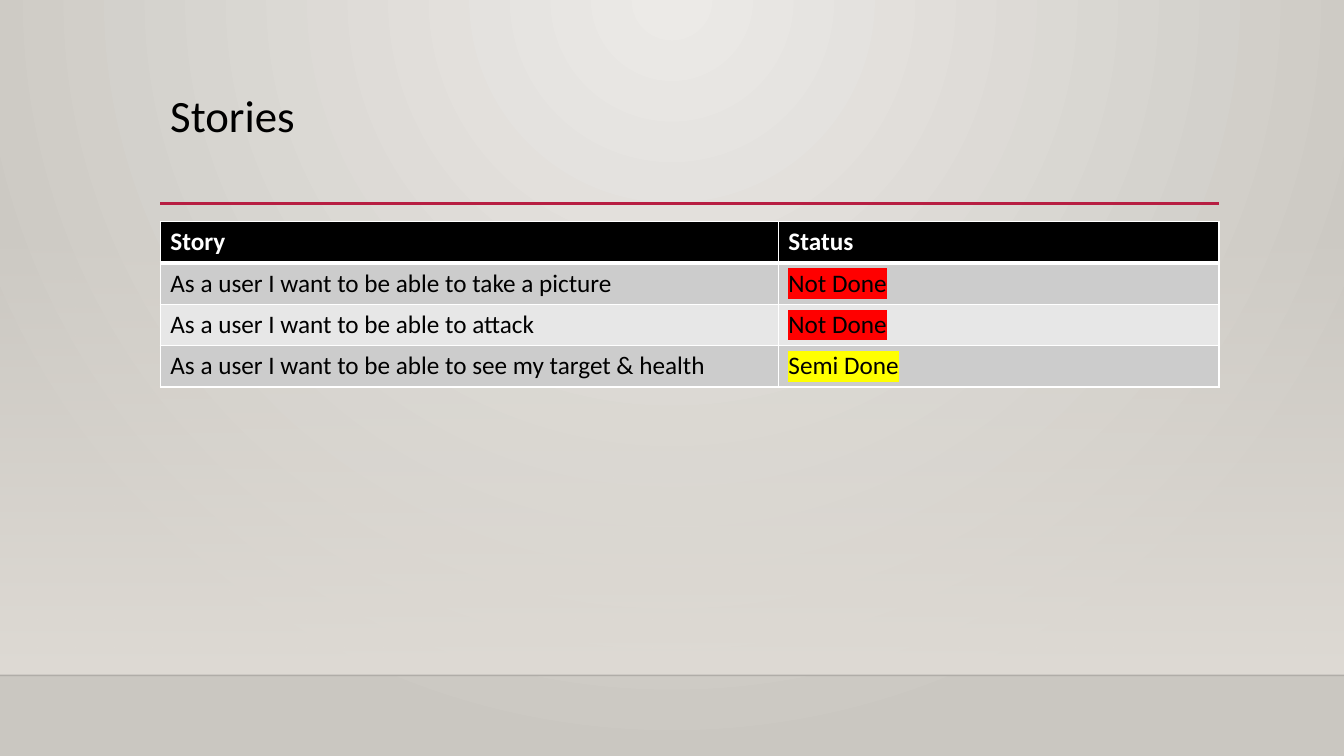
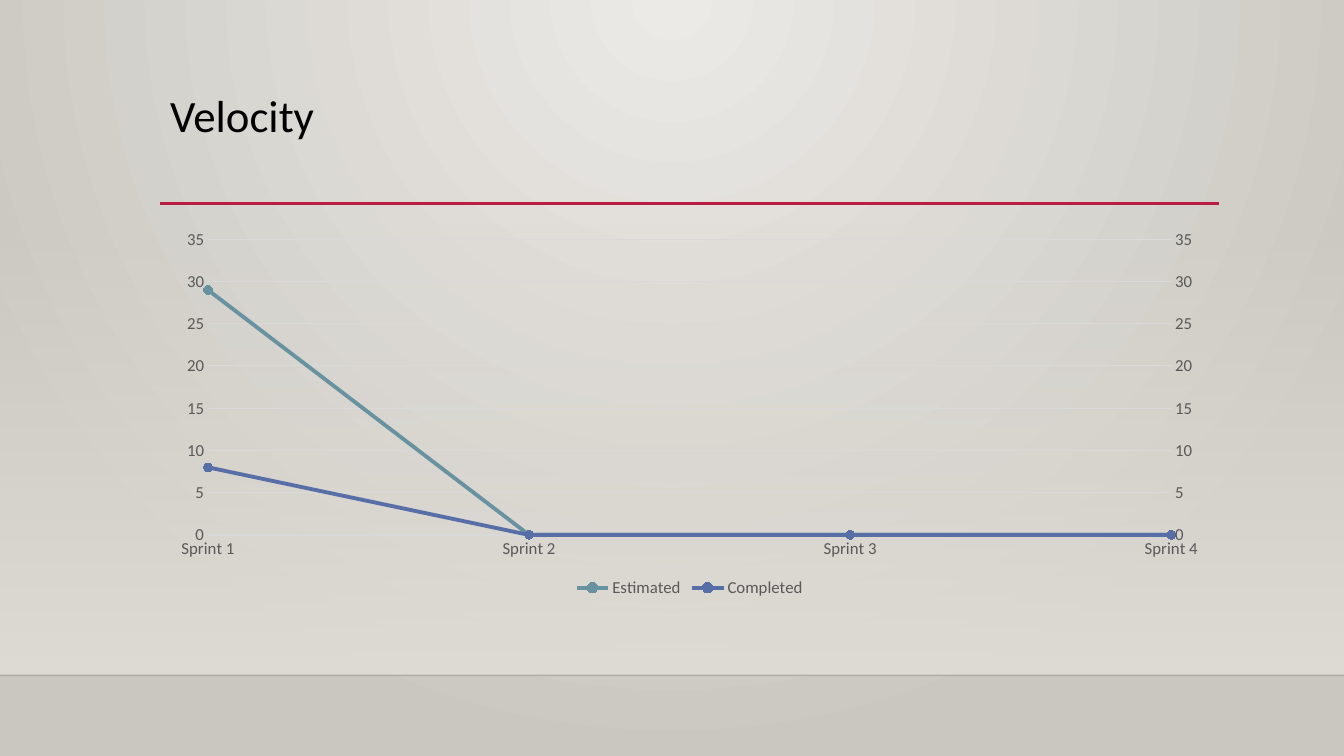
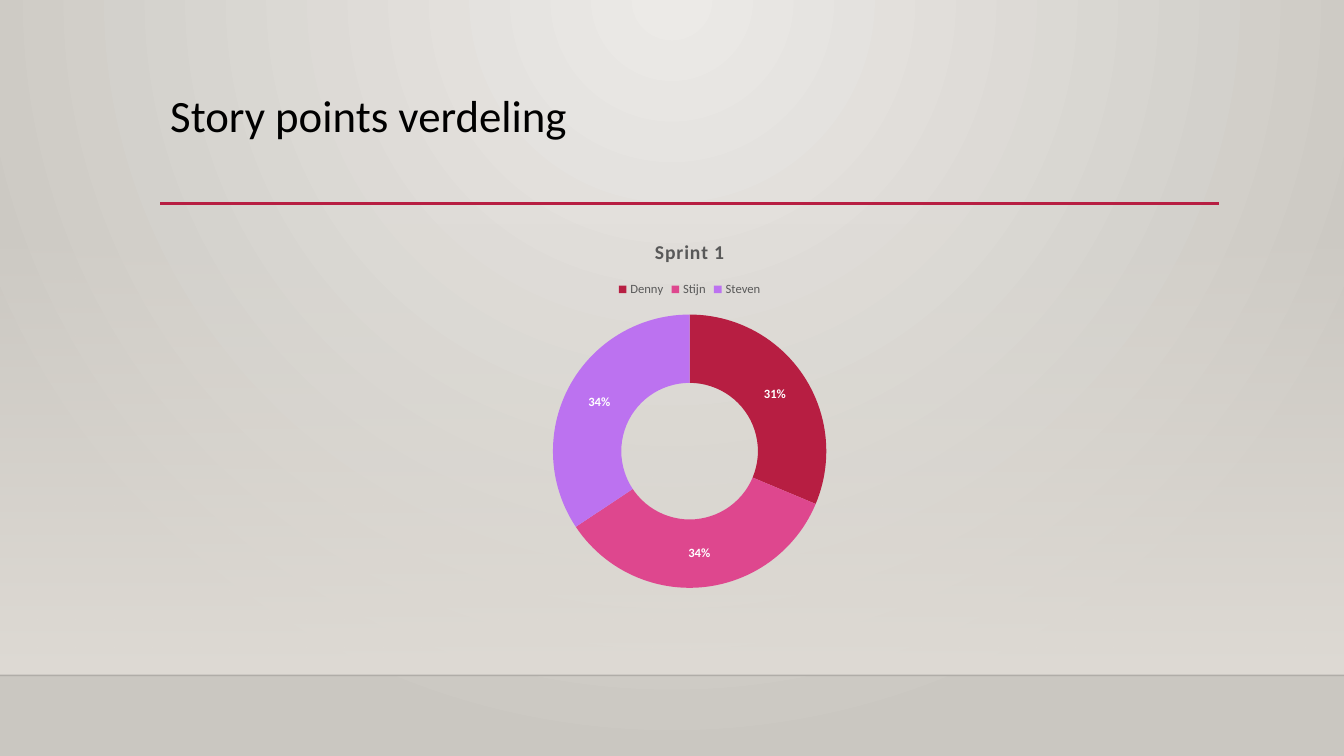
from copy import deepcopy

from lxml.etree import SubElement
from pptx import Presentation
from pptx.chart.data import CategoryChartData
from pptx.dml.color import RGBColor
from pptx.enum.chart import (XL_CHART_TYPE, XL_LEGEND_POSITION,
                             XL_MARKER_STYLE, XL_TICK_MARK)
from pptx.enum.shapes import MSO_CONNECTOR, MSO_SHAPE
from pptx.oxml.ns import qn
from pptx.util import Inches, Pt

FONT = "Calibri"
BLACK = RGBColor(0x00, 0x00, 0x00)
WHITE = RGBColor(0xFF, 0xFF, 0xFF)
GLOW = RGBColor(0xEC, 0xEA, 0xE7)
EDGE = RGBColor(0xCA, 0xC7, 0xC1)
WALL = RGBColor(0xDF, 0xDB, 0xD5)
CRIMSON = RGBColor(0xB7, 0x1E, 0x42)
PINK = RGBColor(0xDE, 0x47, 0x8E)
PURPLE = RGBColor(0xBC, 0x72, 0xF0)
TEAL = RGBColor(0x68, 0x92, 0xA0)
TEAL_DARK = RGBColor(0x53, 0x83, 0x93)
BLUE = RGBColor(0x58, 0x6E, 0xA6)
BLUE_DARK = RGBColor(0x42, 0x5B, 0x9B)
GREY_TEXT = RGBColor(0x59, 0x59, 0x59)
GREY_LINE = RGBColor(0xD9, 0xD9, 0xD9)
ROW_DARK = RGBColor(0xCC, 0xCC, 0xCC)
ROW_LIGHT = RGBColor(0xE7, 0xE7, 0xE7)
RED = RGBColor(0xFF, 0x00, 0x00)
YELLOW = RGBColor(0xFF, 0xFF, 0x00)

WIDTH, HEIGHT = 13.33, 7.5
LEFT, CONTENT_W = 1.59, 10.5
TITLE_TOP, TITLE_H = 0.88, 1.15
RULE_Y, FLOOR_Y = 2.02, 6.7
CONTENT_TOP, CHART_H = 2.2, 3.77
CONTENT_BOX = [Inches(v) for v in (LEFT, CONTENT_TOP, CONTENT_W, CHART_H)]
COLUMNS, ROW_H = (6.13, 4.37), 0.41

STORY_HEADER = ("Story", "Status")
STORIES = [
    ("As a user I want to be able to take a picture", "Not Done"),
    ("As a user I want to be able to attack", "Not Done"),
    ("As a user I want to be able to see my target & health", "Semi Done"),
]
STATUS_COLORS = {"Not Done": RED, "Semi Done": YELLOW}

SPRINTS = ["Sprint 1", "Sprint 2", "Sprint 3", "Sprint 4"]
VELOCITY = [
    ("Estimated", (29, None, None, None), TEAL, TEAL_DARK),
    ("Completed", (8, None, None, None), BLUE, BLUE_DARK),
]
VELOCITY_MAX = 35

POINTS_TITLE = "Sprint 1"
POINTS = [("Denny", 31, CRIMSON), ("Stijn", 34, PINK), ("Steven", 34, PURPLE)]


def set_font(font, size, color, bold=False):
    font.name, font.size, font.bold = FONT, Pt(size), bold
    font.color.rgb = color


def set_gradient(fill, owner, start, end):
    """Fill with two stops and return the gradient element inside owner."""
    fill.gradient()
    for stop, color, position in zip(fill.gradient_stops, (start, end), (0, 1)):
        stop.color.rgb, stop.position = color, position
    return next(owner.iter(qn("a:gradFill")))


def set_alpha(color_element, percent):
    SubElement(color_element, qn("a:alpha"), val=str(percent * 1000))


def paint_background(master):
    gradient = set_gradient(master.background.fill, master.element, GLOW, EDGE)
    gradient.remove(gradient.find(qn("a:lin")))
    circle = SubElement(gradient, qn("a:path"), {"path": "circle"})
    SubElement(circle, qn("a:fillToRect"), l="43000", t="0", r="43000", b="100000")


def add_rule(slide, left, right, y, color, width):
    rule = slide.shapes.add_connector(
        MSO_CONNECTOR.STRAIGHT, Inches(left), Inches(y), Inches(right), Inches(y))
    rule.line.color.rgb, rule.line.width = color, Pt(width)
    SubElement(rule.element.spPr, qn("a:effectLst"))
    return rule


def add_titled_slide(prs, title):
    slide = prs.slides.add_slide(prs.slide_layouts[6])
    wall_top = 2.21
    wall = slide.shapes.add_shape(MSO_SHAPE.RECTANGLE, 0, Inches(wall_top),
                                  Inches(WIDTH), Inches(FLOOR_Y - wall_top))
    wall.shadow.inherit = False
    wall.line.fill.background()
    gradient = set_gradient(wall.fill, wall.element, WALL, WALL)
    wall.fill.gradient_angle = 270
    set_alpha(next(gradient.iter(qn("a:srgbClr"))), 0)

    floor = add_rule(slide, 0, WIDTH, FLOOR_Y, BLACK, 1)
    set_alpha(next(floor.element.iter(qn("a:srgbClr"))), 20)
    add_rule(slide, LEFT, LEFT + CONTENT_W, RULE_Y, CRIMSON, 2.5)

    frame = slide.shapes.add_textbox(Inches(LEFT), Inches(TITLE_TOP),
                                     Inches(CONTENT_W), Inches(TITLE_H)).text_frame
    frame.word_wrap = True
    heading = frame.paragraphs[0]
    heading.text, heading.line_spacing = title, 0.9
    set_font(heading.font, 32, BLACK)
    return slide


def set_borders(cell, **widths):
    """Draw white borders; widths maps the sides L, R, T, B to points."""
    properties = cell._tc.get_or_add_tcPr()
    for index, side in enumerate("LRTB"):
        border = SubElement(properties, qn(f"a:ln{side}"), w=str(Pt(widths.get(side, 1))))
        fill = SubElement(border, qn("a:solidFill"))
        SubElement(fill, qn("a:srgbClr"), val=str(WHITE))
        properties.insert(index, border)


def highlight(run, color):
    mark = SubElement(run._r.get_or_add_rPr(), qn("a:highlight"))
    SubElement(mark, qn("a:srgbClr"), val=str(color))


def add_stories(slide):
    rows = [STORY_HEADER, *STORIES]
    table = slide.shapes.add_table(
        len(rows), len(COLUMNS), Inches(LEFT), Inches(CONTENT_TOP),
        Inches(CONTENT_W), Inches(ROW_H * len(rows))).table
    table.first_row = table.horz_banding = False
    for column, width in zip(table.columns, COLUMNS):
        column.width = Inches(width)
    for r, texts in enumerate(rows):
        table.rows[r].height = Inches(ROW_H)
        header = r == 0
        for c, text in enumerate(texts):
            cell = table.cell(r, c)
            cell.text = text
            cell.fill.solid()
            cell.fill.fore_color.rgb = BLACK if header else (ROW_LIGHT, ROW_DARK)[r % 2]
            set_borders(cell, B=3 if header else 1, T=3 if r == 1 else 1)
            paragraph = cell.text_frame.paragraphs[0]
            set_font(paragraph.font, 18, WHITE if header else BLACK, header)
            if text in STATUS_COLORS:
                highlight(paragraph.runs[0], STATUS_COLORS[text])


def add_chart(slide, kind, categories, series, legend_position, legend_size):
    data = CategoryChartData()
    data.categories = categories
    for name, values in series:
        data.add_series(name, values)
    chart = slide.shapes.add_chart(kind, *CONTENT_BOX, data).chart
    set_font(chart.font, 10, BLACK)
    chart.has_title = False
    chart.has_legend = True
    chart.legend.position = legend_position
    chart.legend.include_in_layout = False
    set_font(chart.legend.font, legend_size, GREY_TEXT)
    return chart


def move_last_series_to_right_axis(chart):
    plot_area = next(chart.element.iter(qn("c:plotArea"))) if hasattr(
        chart, "element") else next(chart._chartSpace.iter(qn("c:plotArea")))
    left_lines = plot_area.find(qn("c:lineChart"))
    right_lines = deepcopy(left_lines)
    left_lines.remove(left_lines.findall(qn("c:ser"))[-1])
    for series in right_lines.findall(qn("c:ser"))[:-1]:
        right_lines.remove(series)
    left_lines.addnext(right_lines)

    categories = plot_area.find(qn("c:catAx"))
    values = plot_area.find(qn("c:valAx"))
    right_values, right_categories = deepcopy(values), deepcopy(categories)
    values.addnext(right_values)
    right_values.addnext(right_categories)
    new_ids = {axis.find(qn("c:axId")).get("val"): new_id
               for axis, new_id in ((categories, "5001"), (values, "5002"))}
    for part in (right_lines, right_values, right_categories):
        for tag in ("c:axId", "c:crossAx"):
            for reference in part.findall(qn(tag)):
                reference.set("val", new_ids[reference.get("val")])
    right_values.remove(right_values.find(qn("c:majorGridlines")))
    right_values.find(qn("c:axPos")).set("val", "r")
    right_values.find(qn("c:crosses")).set("val", "max")
    right_categories.find(qn("c:delete")).set("val", "1")


def add_velocity(slide):
    chart = add_chart(slide, XL_CHART_TYPE.LINE_MARKERS_STACKED, SPRINTS,
                      [entry[:2] for entry in VELOCITY], XL_LEGEND_POSITION.BOTTOM, 12)
    next(chart._chartSpace.iter(qn("c:dispBlanksAs"))).set("val", "zero")
    for series, (_, _, color, marker_color) in zip(chart.plots[0].series, VELOCITY):
        series.smooth = False
        series.format.line.color.rgb = color
        series.format.line.width = Pt(2.75)
        series.marker.style, series.marker.size = XL_MARKER_STYLE.CIRCLE, 6
        series.marker.format.fill.solid()
        series.marker.format.fill.fore_color.rgb = marker_color
        series.marker.format.line.color.rgb = marker_color

    categories, values = chart.category_axis, chart.value_axis
    for axis in (categories, values):
        axis.major_tick_mark = axis.minor_tick_mark = XL_TICK_MARK.NONE
        set_font(axis.tick_labels.font, 12, GREY_TEXT)
    categories.format.line.color.rgb = GREY_LINE
    categories.format.line.width = Pt(1)
    values.format.line.fill.background()
    values.minimum_scale, values.maximum_scale = 0, VELOCITY_MAX
    values.has_major_gridlines = True
    values.major_gridlines.format.line.color.rgb = GREY_LINE
    values.major_gridlines.format.line.width = Pt(0.75)

    value_axis = next(chart._chartSpace.iter(qn("c:valAx")))
    between = value_axis.find(qn("c:crossBetween"))
    if between is None:
        between = SubElement(value_axis, qn("c:crossBetween"))
        value_axis.find(qn("c:crosses")).addnext(between)
    between.set("val", "midCat")
    move_last_series_to_right_axis(chart)


def add_points(slide):
    names, values, colors = zip(*POINTS)
    chart = add_chart(slide, XL_CHART_TYPE.DOUGHNUT, names, [(POINTS_TITLE, values)],
                      XL_LEGEND_POSITION.TOP, 9)
    chart.has_title = True
    heading = chart.chart_title.text_frame.paragraphs[0]
    heading.text = POINTS_TITLE
    set_font(heading.font, 14, GREY_TEXT, True)
    next(heading._p.iter(qn("a:defRPr"))).set("spc", "50")

    ring = chart.plots[0]
    ring.vary_by_categories = True
    for index, color in enumerate(colors):
        slice_format = ring.series[0].points[index].format
        slice_format.fill.solid()
        slice_format.fill.fore_color.rgb = color
        slice_format.line.fill.background()
    ring.has_data_labels = True
    labels = ring.data_labels
    labels.show_percentage, labels.show_value = True, False
    labels.number_format, labels.number_format_is_linked = "0%", False
    set_font(labels.font, 9, WHITE, True)


SLIDES = [
    ("Stories", add_stories),
    ("Velocity", add_velocity),
    ("Story points verdeling", add_points),
]


def main():
    prs = Presentation()
    prs.slide_width, prs.slide_height = Inches(WIDTH), Inches(HEIGHT)
    paint_background(prs.slide_master)
    for title, add_content in SLIDES:
        add_content(add_titled_slide(prs, title))
    prs.save("out.pptx")


if __name__ == "__main__":
    main()
